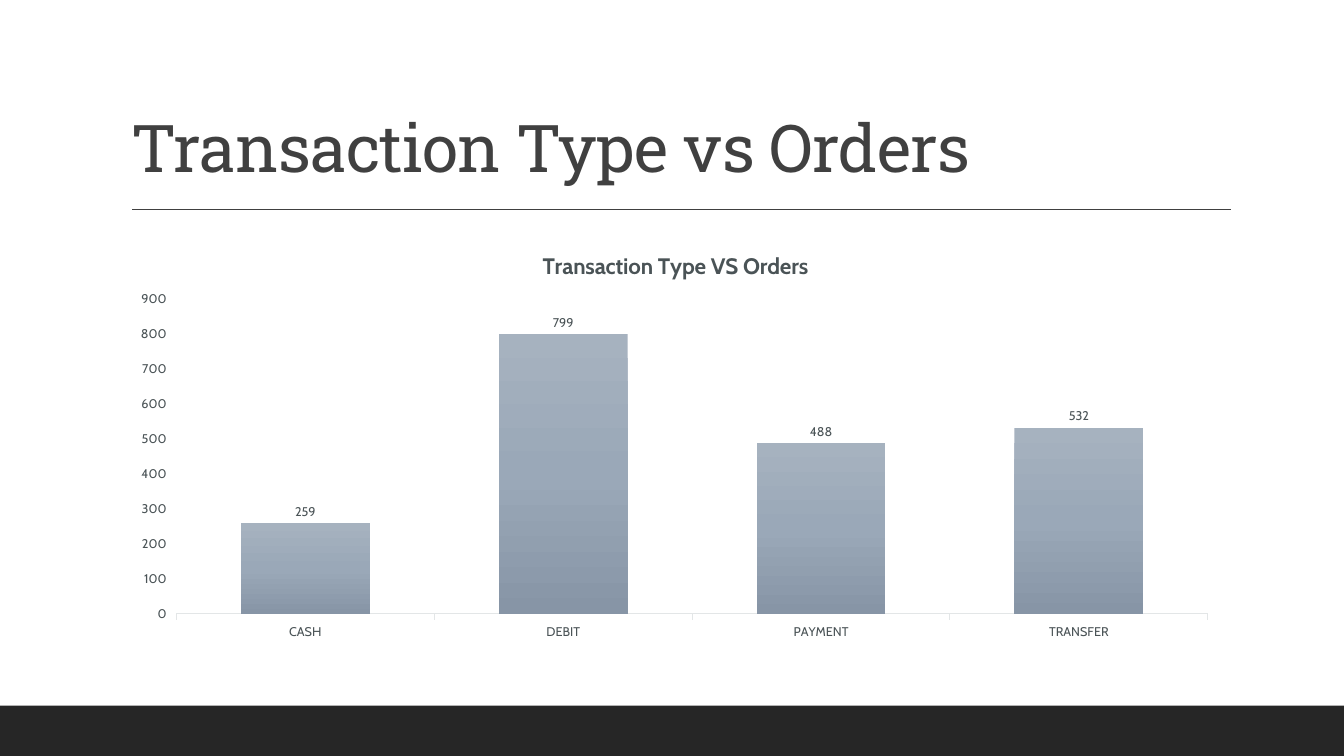
from copy import deepcopy

from lxml import etree
from pptx import Presentation
from pptx.chart.data import CategoryChartData
from pptx.dml.color import RGBColor
from pptx.enum.chart import XL_CHART_TYPE, XL_LABEL_POSITION, XL_TICK_MARK
from pptx.enum.shapes import MSO_CONNECTOR, MSO_SHAPE
from pptx.enum.text import MSO_ANCHOR, MSO_AUTO_SIZE, PP_ALIGN
from pptx.oxml import parse_xml
from pptx.oxml.ns import nsdecls, qn
from pptx.util import Inches, Pt

COLUMN = XL_CHART_TYPE.COLUMN_CLUSTERED
OUT_END = XL_LABEL_POSITION.OUTSIDE_END
TICK_OUT, TICK_NONE = XL_TICK_MARK.OUTSIDE, XL_TICK_MARK.NONE
RECT, STRAIGHT = MSO_SHAPE.RECTANGLE, MSO_CONNECTOR.STRAIGHT
BOTTOM, LEFT, NO_FIT = MSO_ANCHOR.BOTTOM, PP_ALIGN.LEFT, MSO_AUTO_SIZE.NONE

HEAD, BODY = "Roboto Slab", "Cabin"
DARK, BAND, GREY, PALE = "404040", "262626", "4A5356", "E3E6E7"
SHADES = [(0, "A6B2BF"), (0.5, "9AA8B8"), (1, "8795A6")]
ORDERS = {"CASH": 259, "DEBIT": 799, "PAYMENT": 488, "TRANSFER": 532}
PLOT = {"x": 0.05, "y": 0.16, "w": 0.93, "h": 0.76}


def color(code):
    return RGBColor.from_string(code)


def style(font, size, code, face=BODY, bold=False):
    font.name, font.size, font.bold = face, Pt(size), bold
    font.color.rgb = color(code)


def write(frame, text, track=0, spacing=None, **look):
    """Put one styled run in a text frame; track is in points."""
    para = frame.paragraphs[0]
    para.line_spacing = spacing
    run = para.add_run()
    run.text = text
    style(run.font, **look)
    if track:
        run.font._element.set("spc", str(int(track * 100)))
    return para


def add_band(slide, left, top, width, height):
    band = slide.shapes.add_shape(RECT, left, top, width, height)
    band.shadow.inherit = False
    band.fill.solid()
    band.fill.fore_color.rgb = color(BAND)
    band.line.fill.background()


def add_head(slide, left, top, width, height):
    """Place the title and the rule beneath it."""
    title = slide.shapes.title
    title.left, title.top, title.width, title.height = left, top, width, height
    frame = title.text_frame
    frame.word_wrap, frame.auto_size = True, NO_FIT
    frame.vertical_anchor = BOTTOM
    para = write(frame, "Transaction Type vs Orders", track=-0.5, spacing=0.9,
                 size=47, code=DARK, face=HEAD)
    para.alignment = LEFT

    level = top + height + Inches(0.18)
    start = left + Inches(0.11)
    rule = slide.shapes.add_connector(
        STRAIGHT, start, level, start + Inches(10.9), level)
    rule.line.color.rgb = color(DARK)
    rule.line.width = Pt(1)
    etree.SubElement(rule._element.spPr, qn("a:effectLst"))


def shade(fill):
    """Fill from top to bottom with the three shades."""
    fill.gradient()
    fill.gradient_angle = 270
    first = fill.gradient_stops[0]._gs
    first.addnext(deepcopy(first))
    for stop, (place, code) in zip(fill.gradient_stops, SHADES):
        stop.position = place
        stop.color.rgb = color(code)


def fix_plot(chart):
    """Set the inner plot area as fractions of the chart."""
    area = chart._chartSpace.find(".//" + qn("c:plotArea"))
    for old in area.findall(qn("c:layout")):
        area.remove(old)
    sizes = "".join(f'<c:{key} val="{val}"/>' for key, val in PLOT.items())
    area.insert(0, parse_xml(
        f'<c:layout {nsdecls("c")}><c:manualLayout>'
        '<c:layoutTarget val="inner"/><c:xMode val="edge"/>'
        f'<c:yMode val="edge"/>{sizes}</c:manualLayout></c:layout>'))


def add_bars(slide, left, top, width, height):
    data = CategoryChartData()
    data.categories = list(ORDERS)
    data.add_series("Series 1", list(ORDERS.values()))
    chart = slide.shapes.add_chart(
        COLUMN, left, top, width, height, data).chart
    style(chart.font, 10, "000000")
    chart.has_legend = False
    chart.has_title = True
    write(chart.chart_title.text_frame, "Transaction Type VS Orders",
          size=16, code=GREY, bold=True)
    chart.chart_title.include_in_layout = False
    fix_plot(chart)

    for axis in (chart.category_axis, chart.value_axis):
        axis.has_major_gridlines = False
        axis.major_tick_mark, axis.minor_tick_mark = TICK_OUT, TICK_NONE
        style(axis.tick_labels.font, 9, GREY)
    base = chart.category_axis.format.line
    base.color.rgb = color(PALE)
    base.width = Pt(0.75)
    scale = chart.value_axis
    scale.format.line.fill.background()
    scale.minimum_scale, scale.maximum_scale, scale.major_unit = 0, 900, 100

    plot = chart.plots[0]
    plot.gap_width, plot.overlap = 100, -24
    plot.vary_by_categories = False
    bars = plot.series[0]
    shade(bars.format.fill)
    labels = bars.data_labels
    labels.show_value, labels.position = True, OUT_END
    style(labels.font, 9, GREY)


def main():
    deck = Presentation()
    deck.slide_width, deck.slide_height = Inches(13.33), Inches(7.5)
    slide = deck.slides.add_slide(deck.slide_layouts[5])
    add_band(slide, 0, Inches(7), deck.slide_width, Inches(0.5))
    add_head(slide, Inches(1.2), Inches(0.31), Inches(11), Inches(1.59))
    add_bars(slide, Inches(1.2), Inches(2.31), Inches(11), Inches(4.11))
    deck.save("out.pptx")


if __name__ == "__main__":
    main()
